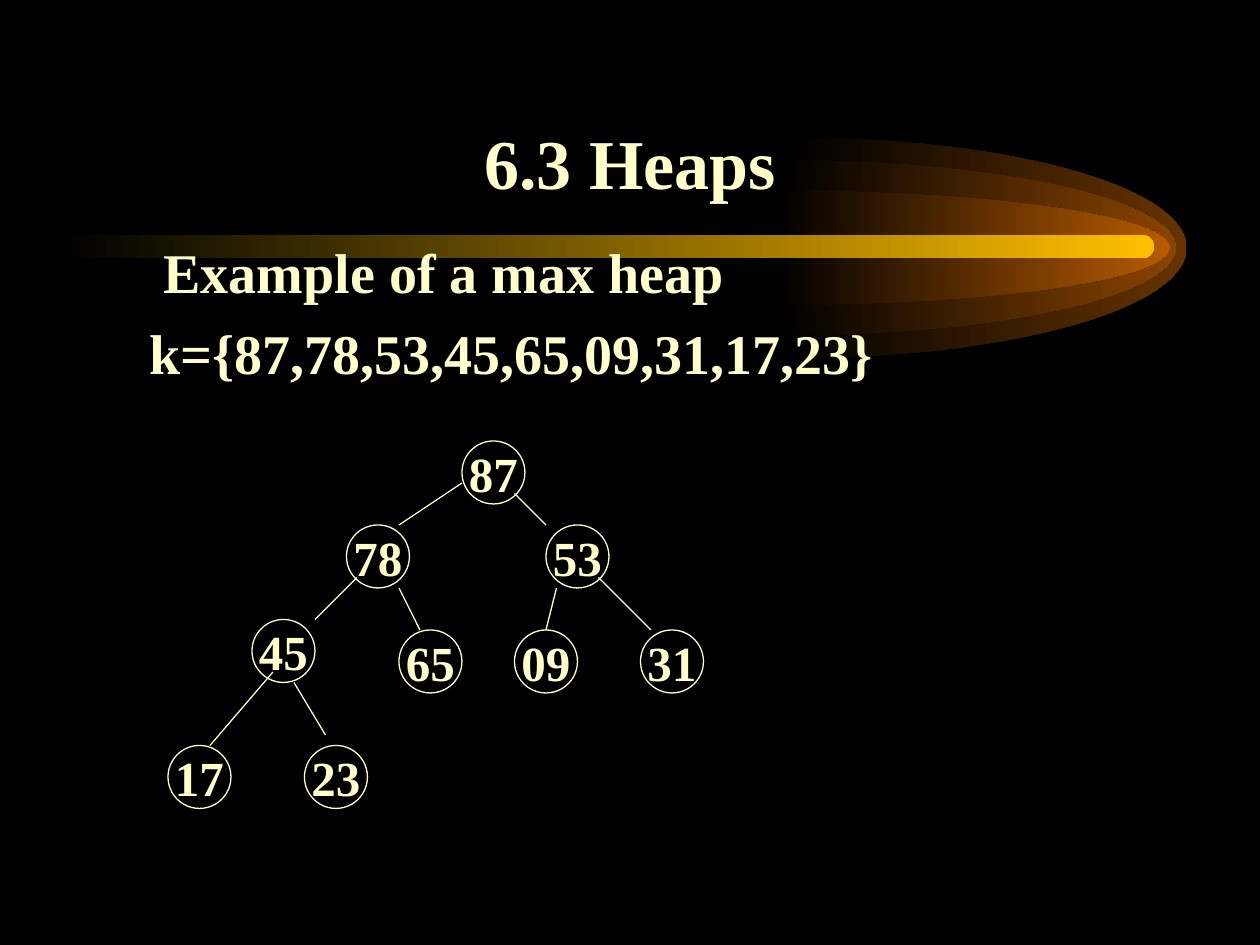
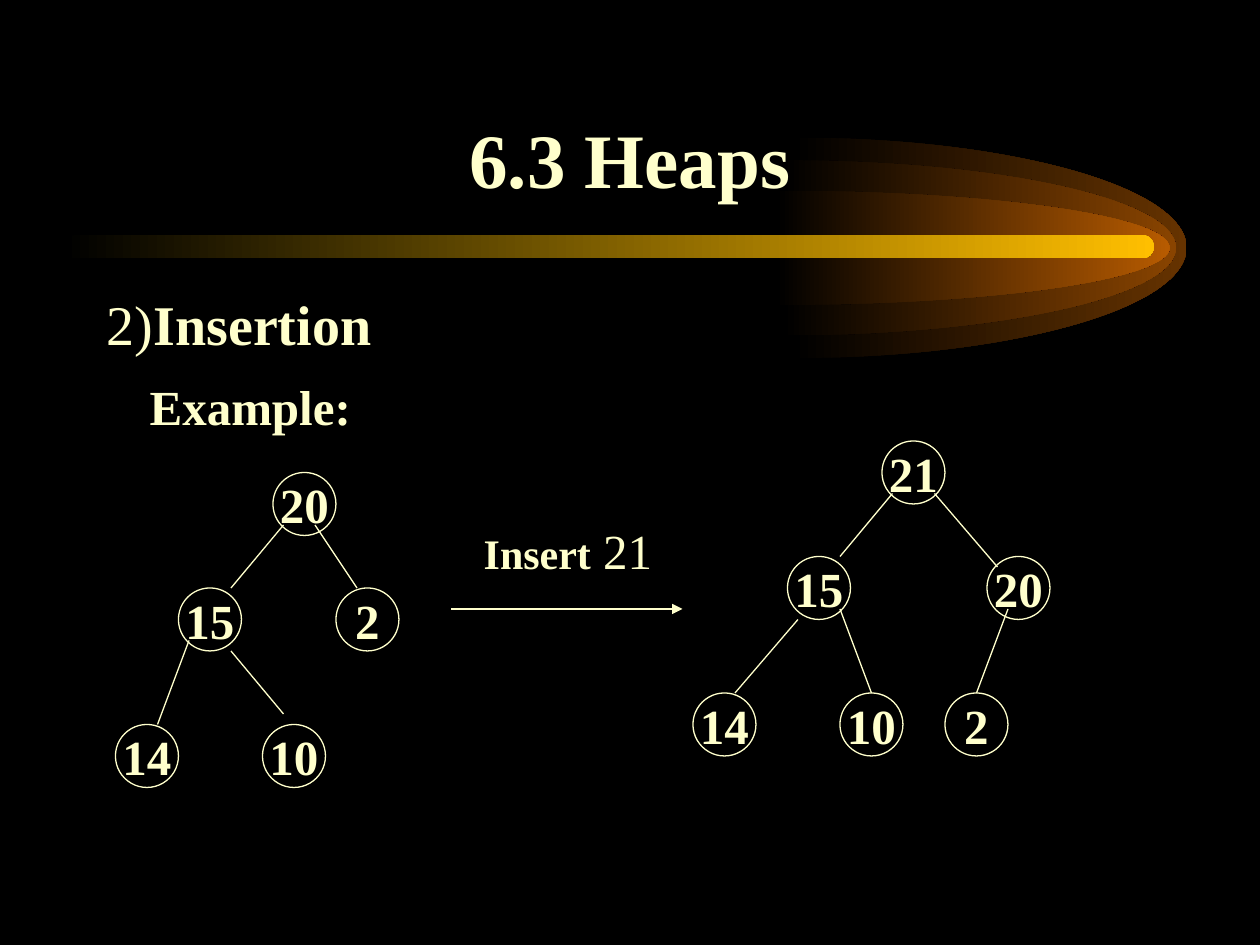
from pptx import Presentation
from pptx.dml.color import RGBColor
from pptx.enum.shapes import MSO_CONNECTOR as Connector, MSO_SHAPE as Shape
from pptx.enum.text import MSO_ANCHOR as Anchor, MSO_AUTO_SIZE as AutoSize, PP_ALIGN as Align
from pptx.oxml.ns import qn
from pptx.util import Inches, Pt

COLUMNS, ROWS = 120, 90
TITLE_ONLY = 5
NODE_SIZE = 6
ARC_HANDLE = 0.55


def color(hex_code):
    """Turn a hex string into a colour."""
    return RGBColor.from_string(hex_code)


class HeapDeck:
    """Holds the style, the grid and the current slide."""

    font_name = "Times New Roman"
    ink, night, gold = "FFFFCC", "000000", "FFBF00"
    line_width = Pt(0.74)

    def __init__(self):
        """Start a black presentation with a bare title-only layout."""
        self.presentation = Presentation()
        self.presentation.slide_width = Inches(10)
        self.presentation.slide_height = Inches(7.5)
        self.layout = self.presentation.slide_layouts[TITLE_ONLY]
        for placeholder in list(self.layout.placeholders):
            if placeholder.placeholder_format.idx:
                self.layout.shapes.element.remove(placeholder.element)
        background = self.presentation.slide_master.background.fill
        background.solid()
        background.fore_color.rgb = color(self.night)
        self.slide = None

    def grid(self, *lengths):
        """Turn alternating columns and rows into slide lengths."""
        cells = (self.presentation.slide_width / COLUMNS,
                 self.presentation.slide_height / ROWS)
        return [round(length * cells[i % 2]) for i, length in enumerate(lengths)]

    def style(self, font, size, bold=True):
        """Give a font the deck's typeface and colour."""
        font.name, font.size, font.bold = self.font_name, Pt(size), bold
        font.color.rgb = color(self.ink)

    def add_slide(self, title, size):
        """Add a slide with a centred title standing above the band."""
        self.slide = self.presentation.slides.add_slide(self.layout)
        shape = self.slide.shapes.title
        shape.left, shape.top, shape.width, shape.height = self.grid(9, 5, 102, 15)
        frame = shape.text_frame
        frame.text = title
        frame.auto_size, frame.vertical_anchor = AutoSize.NONE, Anchor.BOTTOM
        frame.paragraphs[0].alignment = Align.CENTER
        self.style(frame.paragraphs[0].font, size)

    def fade_onto_layout(self, shape, end_color):
        """Fade a shape from black to a colour and move it to the layout."""
        shape.shadow.inherit = False
        shape.line.fill.background()
        shape.fill.gradient()
        shape.fill.gradient_angle = 0
        for stop, hex_code in zip(shape.fill.gradient_stops, (self.night, end_color)):
            stop.color.rgb = color(hex_code)
        self.layout.shapes.element.append(shape.element)

    def build_half_ellipse(self, left, middle, reach, half_height):
        """Build the right half of an ellipse from two curves."""
        near = ARC_HANDLE
        points = [self.grid(left + reach * x, middle + half_height * y)
                  for x, y in ((0, -1), (near, -1), (1, -near), (1, 0),
                               (1, near), (near, 1), (0, 1))]
        builder = self.slide.shapes.build_freeform(*points[0])
        builder.add_line_segments(points[1:], close=True)
        shape = builder.convert_to_shape()
        lines = list(shape.element.iter(qn("a:lnTo")))
        for start in (0, 3):
            curve = lines[0].makeelement(qn("a:cubicBezTo"), {})
            lines[start].addprevious(curve)
            for line in lines[start:start + 3]:
                curve.append(line[0])
                line.getparent().remove(line)
        return shape

    def add_comet(self):
        """Draw the glowing half ellipses and the band all slides share."""
        for left, half_height, hex_code in ((75.5, 10.5, "663300"),
                                            (74.5, 8.35, "894400"),
                                            (73.9, 5.45, "B75B00")):
            glow = self.build_half_ellipse(left, 23.6, 37.5, half_height)
            self.fade_onto_layout(glow, hex_code)
        band = self.slide.shapes.add_shape(Shape.ROUNDED_RECTANGLE,
                                           *self.grid(6, 22.4, 103.9, 2.2))
        band.adjustments[0] = 0.5
        self.fade_onto_layout(band, self.gold)

    def add_text(self, box, paragraphs):
        """Write paragraphs of (indent in inches, space before, runs)."""
        frame = self.slide.shapes.add_textbox(*self.grid(*box)).text_frame
        frame.word_wrap = True
        for number, (indent, space, runs) in enumerate(paragraphs):
            paragraph = frame.add_paragraph() if number else frame.paragraphs[0]
            paragraph.space_before = Pt(space)
            properties = paragraph._p.get_or_add_pPr()
            properties.set("marL", str(Inches(indent)))
            properties.set("indent", "0")
            self.style(paragraph.font, *runs[0][1:])
            for text, size, bold in runs:
                run = paragraph.add_run()
                run.text = text
                if len(runs) > 1:
                    run.font.size, run.font.bold = Pt(size), bold

    def add_node(self, label, column, row):
        """Draw a round tree node with its key."""
        node = self.slide.shapes.add_shape(
            Shape.OVAL, *self.grid(column, row, NODE_SIZE, NODE_SIZE))
        node.shadow.inherit = False
        node.fill.background()
        node.line.color.rgb, node.line.width = color(self.ink), self.line_width
        frame = node.text_frame
        frame.text, frame.word_wrap, frame.vertical_anchor = label, False, Anchor.MIDDLE
        paragraph = frame.paragraphs[0]
        paragraph.alignment, paragraph.space_before = Align.CENTER, Pt(7)
        self.style(paragraph.font, 28)

    def add_line(self, ends, arrow=False):
        """Draw a straight line, with an arrowhead if asked."""
        connector = self.slide.shapes.add_connector(Connector.STRAIGHT, *self.grid(*ends))
        connector.line.color.rgb, connector.line.width = color(self.ink), self.line_width
        if arrow:
            line = connector.line._get_or_add_ln()
            line.append(line.makeelement(qn("a:tailEnd"), {"type": "triangle"}))
        properties = connector._element.spPr
        properties.append(properties.makeelement(qn("a:effectLst"), {}))

    def add_tree(self, nodes, edges):
        """Draw a heap from its nodes and the lines between them."""
        for node in nodes:
            self.add_node(*node)
        for edge in edges:
            self.add_line(edge)


deck = HeapDeck()

deck.add_slide("6.3 Heaps", 40)
deck.add_comet()
deck.add_text((9, 22, 102, 57), [
    (0.45, 8, [("Example of a max heap", 32, True)]),
    (0.34, 8, [("k={87,78,53,45,65,09,31,17,23}", 32, True)]),
])
deck.add_tree(
    [("87", 44, 42), ("78", 33, 50), ("53", 52, 50),
     ("45", 24, 59), ("65", 38, 60), ("09", 49, 60), ("31", 61, 60),
     ("17", 16, 71), ("23", 29, 71)],
    [(44, 46, 38, 50), (49, 47, 52, 50), (34, 55, 30, 59), (38, 56, 40, 60),
     (53, 56, 52, 60), (57, 55, 62, 60), (26, 64, 20, 71), (28, 65, 31, 70)],
)

deck.add_slide("6.3 Heaps", 44)
deck.add_text((9, 27, 102, 54), [
    (0, 8, [("2)", 32, False), ("Insertion", 32, True)]),
    (0.34, 11, [("Example:", 28, True)]),
])
deck.add_tree(
    [("20", 26, 45), ("15", 17, 56), ("2", 32, 56), ("14", 11, 69), ("10", 25, 69)],
    [(27, 50, 22, 56), (30, 50, 34, 56), (18, 61, 15, 69), (22, 62, 27, 68)],
)
deck.add_tree(
    [("21", 84, 42), ("15", 75, 53), ("20", 94, 53),
     ("14", 66, 66), ("10", 80, 66), ("2", 90, 66)],
    [(85, 47, 80, 53), (89, 47, 95, 54), (76, 59, 70, 66),
     (80, 58, 83, 66), (96, 58, 93, 66)],
)
deck.add_line((43, 58, 65, 58), arrow=True)
deck.add_text((39, 49, 26, 6.8), [
    (0.49, 17.5, [("Insert", 24, True), (" 21", 28, False)]),
])

deck.presentation.save("out.pptx")
